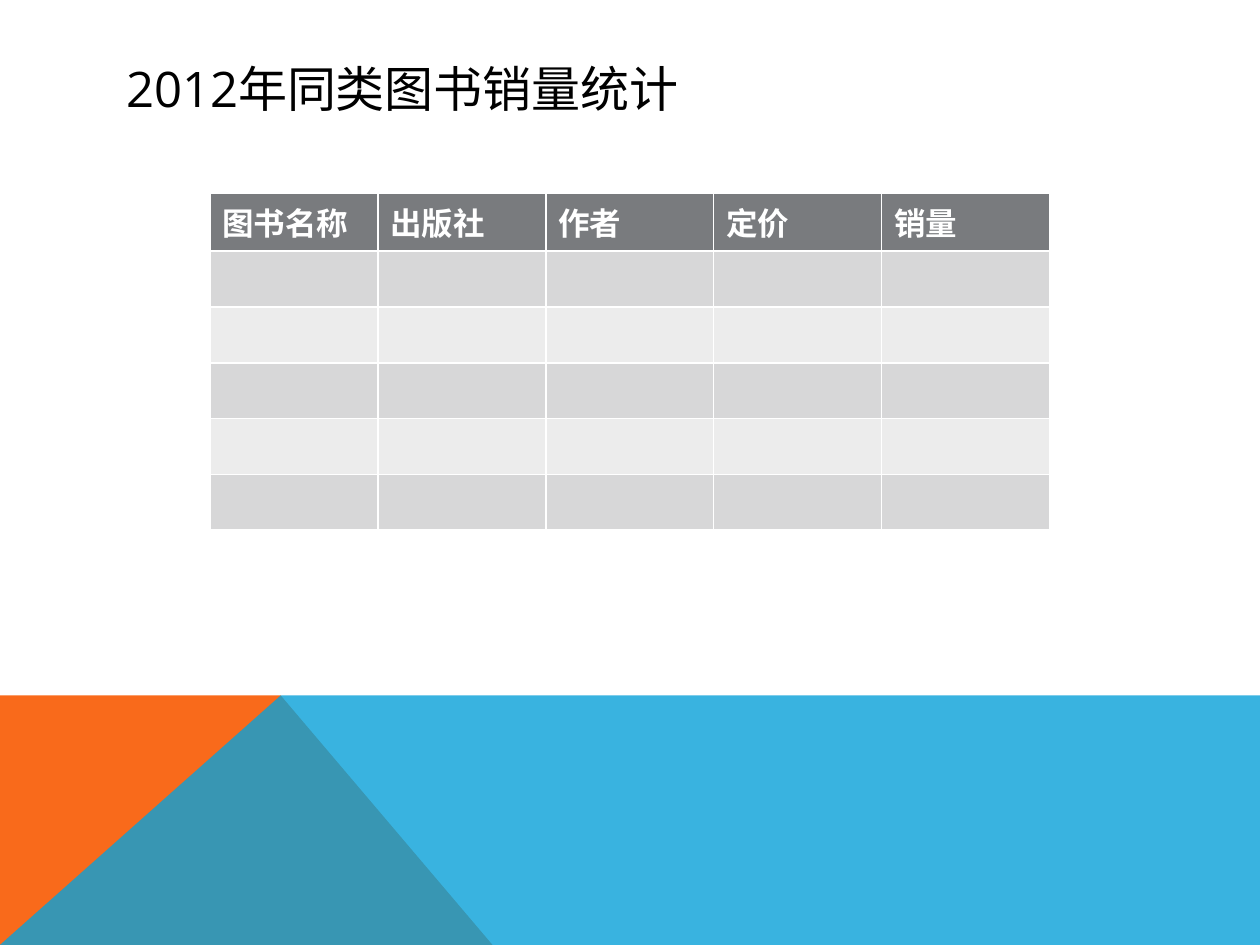
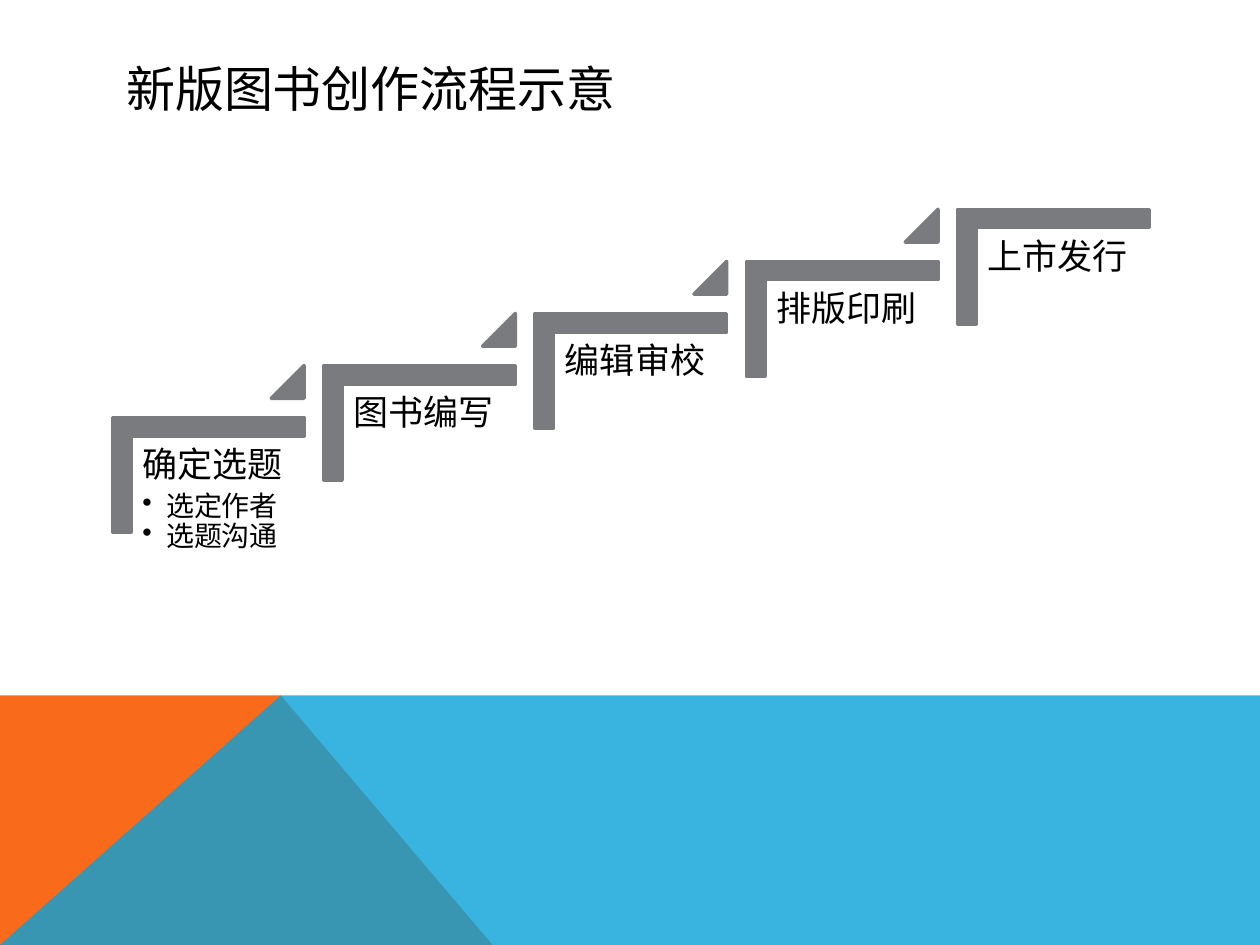
from lxml import etree
from pptx import Presentation
from pptx.dml.color import RGBColor
from pptx.enum import shapes, text
from pptx.oxml import ns
from pptx.util import Cm, Pt

BLACK = RGBColor(0x00, 0x00, 0x00)
WHITE = RGBColor(0xFF, 0xFF, 0xFF)
GRAY = RGBColor(0x79, 0x7B, 0x7E)
ROW_DARK = RGBColor(0xD7, 0xD7, 0xD8)
ROW_LIGHT = RGBColor(0xEC, 0xEC, 0xEC)
ORANGE = RGBColor(0xF9, 0x6A, 0x1B)
BLUE = RGBColor(0x08, 0xA1, 0xD9)
FONT = "Open Sans"

SLIDE_WIDTH, SLIDE_HEIGHT = Cm(25.4), Cm(19.05)
TITLE_BOX = Cm(2.29), Cm(1.02), Cm(20.88), Cm(1.52)
TABLE_BOX = Cm(4.23), Cm(3.89), Cm(16.93), Cm(6.75)
STAIRS_BOX = Cm(2.27), Cm(4.22), Cm(20.9), Cm(6.51)
BAND_TOP, BAND_PEAK, BAND_FOOT = Cm(14.02), Cm(5.66), Cm(9.93)

HEADERS = ["图书名称", "出版社", "作者", "定价", "销量"]
BODY_ROWS = 5
STEPS = [
    ("确定选题", ["选定作者", "选题沟通"]),
    ("图书编写", []),
    ("编辑审校", []),
    ("排版印刷", []),
    ("上市发行", []),
]


def style_font(para, size, color, bold=False):
    para.font.name = FONT
    para.font.size = Pt(size)
    para.font.bold = bold
    para.font.color.rgb = color


def sub(parent, tag, **attributes):
    return etree.SubElement(parent, ns.qn(tag), attributes)


def add_band(page, points, color, opacity=100):
    builder = page.shapes.build_freeform(*points[0])
    builder.add_line_segments(points[1:], close=True)
    band = builder.convert_to_shape()
    band.shadow.inherit = False
    band.fill.solid()
    band.fill.fore_color.rgb = color
    band.line.fill.background()
    if opacity < 100:
        tint = next(band.element.iter(ns.qn("a:srgbClr")))
        sub(tint, "a:alpha", val=str(opacity * 1000))
    return band


def move_bands_to_layout(page):
    corner = (0, SLIDE_HEIGHT)
    bands = [
        add_band(page, [corner, (0, BAND_TOP), (BAND_PEAK, BAND_TOP),
                        (BAND_FOOT, SLIDE_HEIGHT)], ORANGE),
        add_band(page, [corner, (BAND_PEAK, BAND_TOP), (SLIDE_WIDTH, BAND_TOP),
                        (SLIDE_WIDTH, SLIDE_HEIGHT)], BLUE, 80),
    ]
    tree = page.slide_layout.shapes.element
    for index, band in enumerate(bands, start=2):
        tree.insert(index, band.element)


def add_page(deck, heading):
    page = deck.slides.add_slide(deck.slide_layouts[5])
    title = page.shapes.title
    title.left, title.top, title.width, title.height = TITLE_BOX
    title.text_frame.text = heading
    title.text_frame.vertical_anchor = text.MSO_ANCHOR.MIDDLE
    para = title.text_frame.paragraphs[0]
    para.alignment = text.PP_ALIGN.LEFT
    style_font(para, 28, BLACK)
    return page


def add_sales_table(page, box):
    table = page.shapes.add_table(BODY_ROWS + 1, len(HEADERS), *box).table
    for index, row in enumerate(table.rows):
        for cell, header in zip(row.cells, HEADERS):
            cell.fill.solid()
            if index == 0:
                cell.fill.fore_color.rgb = GRAY
                cell.text = header
                style_font(cell.text_frame.paragraphs[0], 18, WHITE, bold=True)
            else:
                cell.fill.fore_color.rgb = ROW_DARK if index % 2 else ROW_LIGHT


def add_gray_shape(group, kind, box, adjustments):
    shape = group.shapes.add_shape(kind, *box)
    shape.shadow.inherit = False
    shape.fill.solid()
    shape.fill.fore_color.rgb = GRAY
    shape.line.color.rgb = GRAY
    shape.line.width = Pt(2)
    for index, value in enumerate(adjustments):
        shape.adjustments[index] = value
    return shape


def add_bracket(group, left, top, width, height):
    shift = (width - height) // 2
    bracket = add_gray_shape(group, shapes.MSO_SHAPE.from_xml("corner"),
                             (left + shift, top - shift, height, width), [0.16, 0.16])
    bracket.rotation = 90


def add_step_text(group, box, heading, details):
    label = group.shapes.add_textbox(*box)
    frame = label.text_frame
    frame.word_wrap = True
    frame.margin_left = frame.margin_right = Cm(0.21)
    frame.margin_top = frame.margin_bottom = Cm(0.21)
    frame.text = "\n".join([heading, *details])
    for index, para in enumerate(frame.paragraphs):
        para.line_spacing = 0.9
        para.space_after = Pt(0 if index else 4)
        if index:
            para.level = 1
            props = para._p.get_or_add_pPr()
            props.set("marL", str(Cm(0.48)))
            props.set("indent", str(-Cm(0.48)))
            sub(props, "a:buChar", char="•")
        style_font(para, 16 if index else 20, BLACK)


def add_stairs(page, box, steps):
    left, top, width, height = box
    step_width, step_height, inset, marker = Cm(3.86), Cm(2.31), Cm(0.39), Cm(0.66)
    last = len(steps) - 1
    run = (width - step_width) // last
    rise = (height - step_height) // last
    group = page.shapes.add_group_shape()
    for index, (heading, details) in enumerate(steps):
        x = left + index * run
        y = top + (last - index) * rise
        add_bracket(group, x, y, step_width, step_height)
        add_step_text(group, (x + inset, y + inset, step_width - inset, Cm(3.05)),
                      heading, details)
        if index < last:
            add_gray_shape(group, shapes.MSO_SHAPE.ISOSCELES_TRIANGLE,
                           (x + step_width - marker, y - rise, marker, marker), [1])


deck = Presentation()
deck.slide_width, deck.slide_height = SLIDE_WIDTH, SLIDE_HEIGHT

sales_page = add_page(deck, "2012年同类图书销量统计")
move_bands_to_layout(sales_page)
add_sales_table(sales_page, TABLE_BOX)

process_page = add_page(deck, "新版图书创作流程示意")
add_stairs(process_page, STAIRS_BOX, STEPS)

deck.save("out.pptx")
